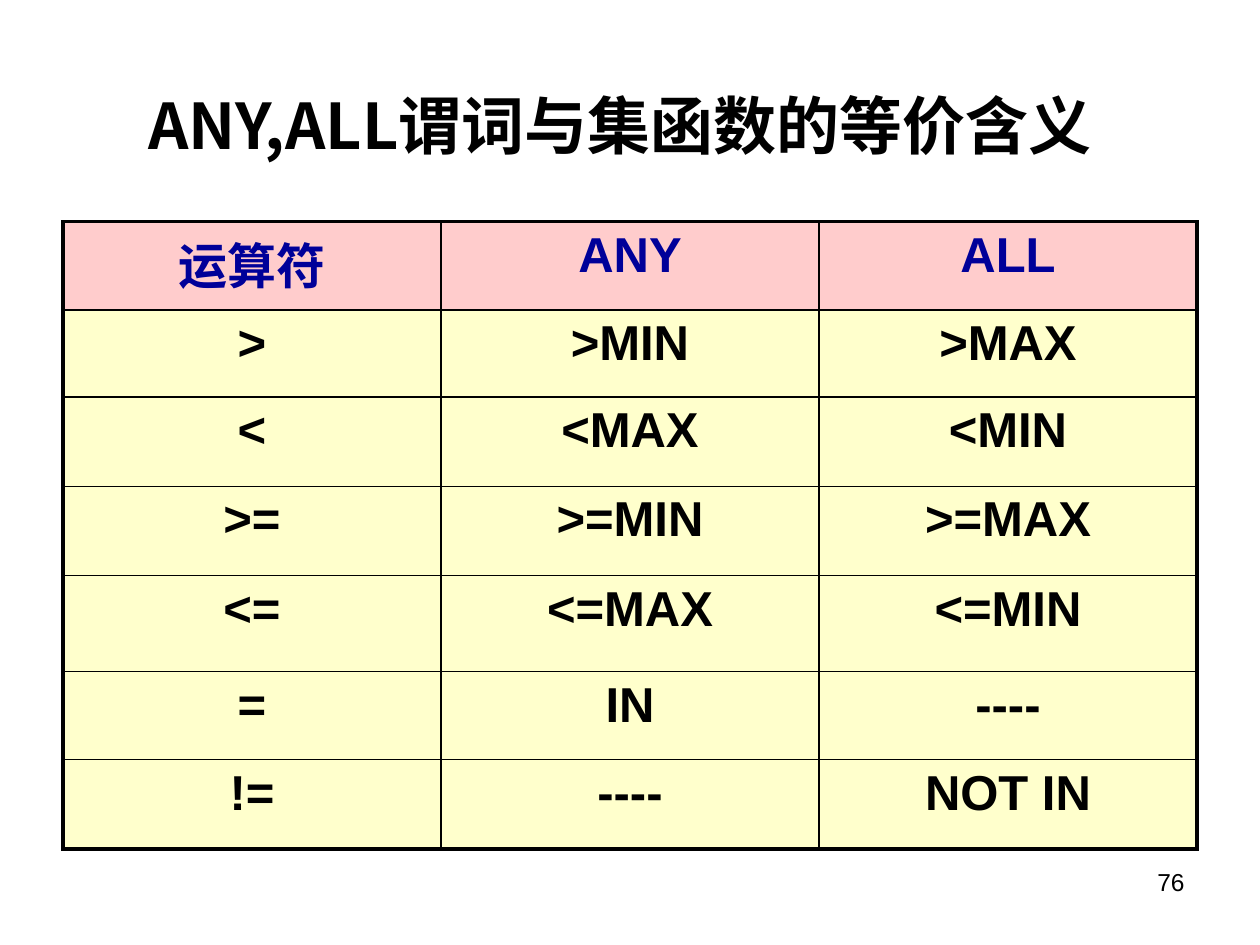
from lxml import etree
from pptx import Presentation
from pptx.dml.color import RGBColor
from pptx.enum.text import MSO_ANCHOR, PP_ALIGN
from pptx.oxml.ns import qn
from pptx.util import Inches, Pt

CENTER = PP_ALIGN.CENTER
RIGHT = PP_ALIGN.RIGHT
MIDDLE = MSO_ANCHOR.MIDDLE

BLACK = RGBColor(0x00, 0x00, 0x00)
NAVY = RGBColor(0x00, 0x00, 0x99)
PINK = RGBColor(0xFF, 0xCC, 0xCC)
CREAM = RGBColor(0xFF, 0xFF, 0xCC)

LATIN_FONT = "Arial"
CHINESE_FONT = "Noto Sans CJK SC"
OUTER_LINE = Pt(2.25)
INNER_LINE = Pt(1)

EQUIVALENTS = [
    ("运算符", "ANY", "ALL"),
    (">", ">MIN", ">MAX"),
    ("<", "<MAX", "<MIN"),
    (">=", ">=MIN", ">=MAX"),
    ("<=", "<=MAX", "<=MIN"),
    ("=", "IN", "----"),
    ("!=", "----", "NOT IN"),
]
ROW_HEIGHTS = [0.7, 0.69, 0.71, 0.71, 0.76, 0.7, 0.71]
COLUMN_WIDTH = 3


def style_paragraph(paragraph, size, color, align, name=LATIN_FONT, bold=True):
    paragraph.alignment = align
    font = paragraph.font
    font.size = Pt(size)
    font.bold = bold
    font.color.rgb = color
    font.name = name
    defaults = paragraph._p.pPr.find(qn("a:defRPr"))
    etree.SubElement(defaults, qn("a:ea"), typeface=CHINESE_FONT)


def place(shape, left, top, width, height):
    shape.left, shape.top = Inches(left), Inches(top)
    shape.width, shape.height = Inches(width), Inches(height)


def add_title(slide, text):
    title = slide.shapes.title
    place(title, 0.35, 0.36, 9.14, 1.25)
    title.text_frame.text = text
    title.text_frame.vertical_anchor = MIDDLE
    style_paragraph(title.text_frame.paragraphs[0], 36, BLACK, CENTER, CHINESE_FONT)


def set_borders(cell, outer_sides):
    properties = cell._tc.get_or_add_tcPr()
    for side, is_outer in zip("LRTB", outer_sides):
        width = OUTER_LINE if is_outer else INNER_LINE
        line = etree.SubElement(properties, qn(f"a:ln{side}"), w=str(width))
        fill = etree.SubElement(line, qn("a:solidFill"))
        etree.SubElement(fill, qn("a:srgbClr"), val=str(BLACK))


def add_equivalence_table(slide):
    row_count, column_count = len(EQUIVALENTS), len(EQUIVALENTS[0])
    table = slide.shapes.add_table(
        row_count, column_count, Inches(0.5), Inches(1.76),
        Inches(COLUMN_WIDTH * column_count), Inches(sum(ROW_HEIGHTS)),
    ).table
    table.first_row = table.horz_banding = False
    for column in table.columns:
        column.width = Inches(COLUMN_WIDTH)
    for r, (height, entries) in enumerate(zip(ROW_HEIGHTS, EQUIVALENTS)):
        table.rows[r].height = Inches(height)
        for c, entry in enumerate(entries):
            cell = table.cell(r, c)
            cell.text = entry
            style_paragraph(cell.text_frame.paragraphs[0], 28,
                            NAVY if r == 0 else BLACK, CENTER)
            set_borders(cell, (c == 0, c == column_count - 1,
                               r == 0, r == row_count - 1))
            cell.fill.solid()
            cell.fill.fore_color.rgb = PINK if r == 0 else CREAM


def add_page_number(slide, number):
    box = slide.shapes.add_textbox(
        Inches(7.17), Inches(6.83), Inches(2.33), Inches(0.52))
    box.text_frame.word_wrap = True
    box.text_frame.text = number
    style_paragraph(box.text_frame.paragraphs[0], 14, BLACK, RIGHT, bold=False)


def main():
    presentation = Presentation()
    presentation.slide_width = Inches(10)
    presentation.slide_height = Inches(7.5)
    slide = presentation.slides.add_slide(presentation.slide_layouts[5])
    add_title(slide, "ANY,ALL谓词与集函数的等价含义")
    add_equivalence_table(slide)
    add_page_number(slide, "76")
    presentation.save("out.pptx")


if __name__ == "__main__":
    main()
